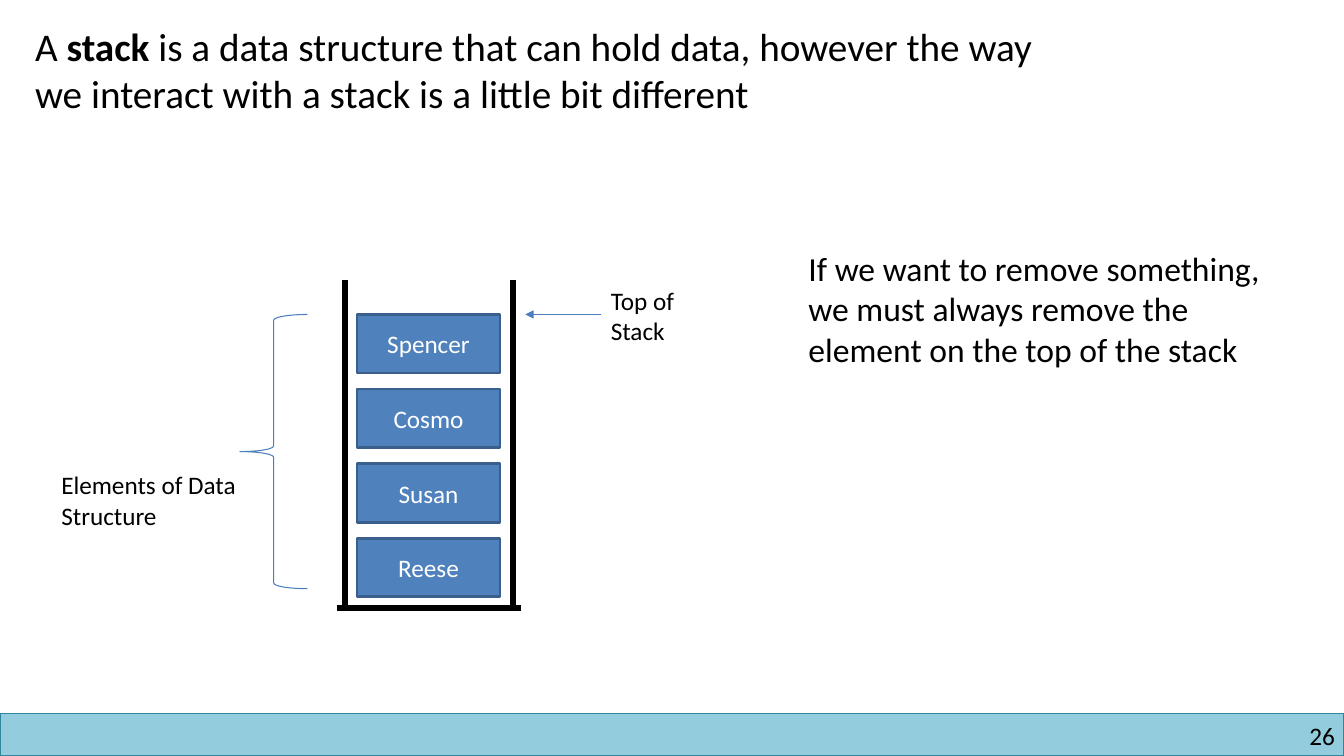
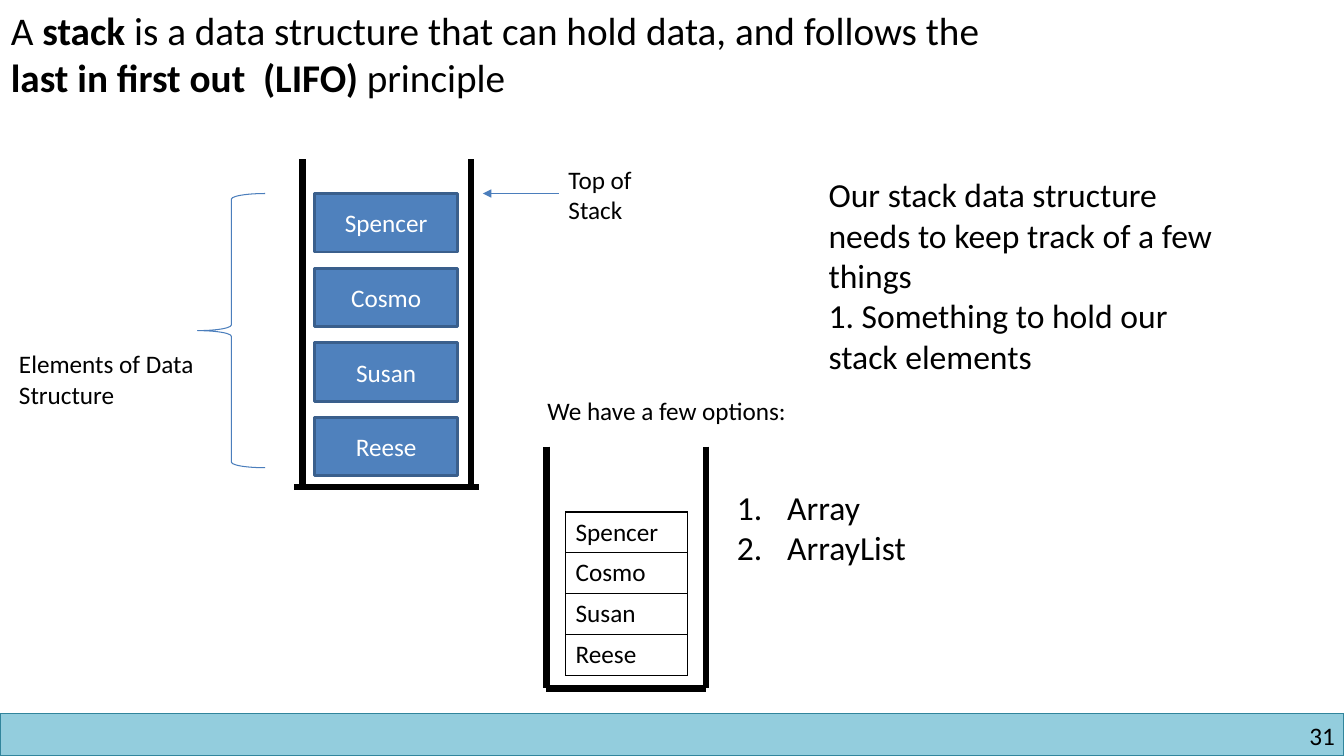
"""Builds two slides on the stack data structure."""
from lxml.etree import SubElement
from pptx import Presentation
from pptx.dml.color import RGBColor
from pptx.enum.shapes import MSO_CONNECTOR, MSO_SHAPE
from pptx.enum.text import MSO_ANCHOR, PP_ALIGN
from pptx.oxml.ns import qn
from pptx.util import Inches, Pt

COLORS = {
    "ink": "000000",
    "paper": "FFFFFF",
    "band": "93CDDD",
    "band edge": "31859C",
    "box": "4F81BD",
    "box edge": "3A5F8C",
    "accent": "4B7EBC",
}
FONT = "Calibri"
SLIDE_WIDTH, SLIDE_HEIGHT = 13.33, 7.5
BAND_TOP = 7.08
NAMES = ["Spencer", "Cosmo", "Susan", "Reese"]
OPTIONS = ["Array", "ArrayList"]
SLIDES = [
    {
        "number": "26",
        "title": [("A ", False), ("stack", True),
                  (" is a data structure that can hold data, however the way "
                   "we interact with a stack is a little bit different", False)],
        "title at": (0.25, 0.17, 10.33, 1.04),
        "stack at": (3.42, 2.78),
        "body": ["If we want to remove something, we must always remove the "
                 "element on the top of the stack"],
        "body at": (7.92, 2.41, 4.75, 1.72),
    },
    {
        "number": "31",
        "title": [("A ", False), ("stack", True),
                  (" is a data structure that can hold data, and follows the ", False),
                  ("last in first out  (LIFO) ", True), ("principle", False)],
        "title at": (0.01, 0.01, 10.33, 1.04),
        "stack at": (3, 1.58),
        "body": ["Our stack data structure needs to keep track of a few things",
                 "1. Something to hold our stack elements"],
        "body at": (8.12, 1.68, 4.17, 2.12),
    },
]


def color(name):
    return RGBColor.from_string(COLORS[name])


def inches(values):
    return [Inches(value) for value in values]


def style(paragraph, size, ink="ink"):
    paragraph.font.name = FONT
    paragraph.font.size = Pt(size)
    paragraph.font.color.rgb = color(ink)


def add_text(slide, at, paragraphs, size, wrap=True, numbered=False):
    box = slide.shapes.add_textbox(*inches(at))
    frame = box.text_frame
    frame.word_wrap = wrap
    for index, content in enumerate(paragraphs):
        paragraph = frame.add_paragraph() if index else frame.paragraphs[0]
        runs = [(content, None)] if isinstance(content, str) else content
        for text, bold in runs:
            run = paragraph.add_run()
            run.text = text
            run.font.bold = bold
        if numbered:
            properties = paragraph._p.get_or_add_pPr()
            properties.set("marL", str(Inches(0.5)))
            properties.set("indent", str(Inches(-0.5)))
            SubElement(properties, qn("a:buAutoNum"), type="arabicPeriod")
        style(paragraph, size)
    return box


def add_shape(slide, kind, at, fill, edge, width):
    shape = slide.shapes.add_shape(kind, *inches(at))
    shape.shadow.inherit = False
    if fill:
        shape.fill.solid()
        shape.fill.fore_color.rgb = color(fill)
    else:
        shape.fill.background()
    shape.line.color.rgb = color(edge)
    shape.line.width = Pt(width)
    return shape


def add_line(slide, start, end, ink="ink", width=4.5):
    line = slide.shapes.add_connector(MSO_CONNECTOR.STRAIGHT, *inches(start + end))
    line.line.color.rgb = color(ink)
    line.line.width = Pt(width)
    SubElement(line._element.spPr, qn("a:effectLst"))
    return line


def add_container(slide, left, top, right, bottom, overhang=0):
    for x in (left, right):
        add_line(slide, (x, top), (x, bottom))
    add_line(slide, (right + overhang, bottom), (left - overhang, bottom))


def add_stack(slide, left, top):
    add_container(slide, left, top, left + 1.67, top + 3.25, 0.08)
    first_box = top + 0.34
    for index, name in enumerate(NAMES):
        at = (left + 0.12, first_box + 0.74 * index, 1.42, 0.58)
        box = add_shape(slide, MSO_SHAPE.RECTANGLE, at, "box", "box edge", 2)
        box.text_frame.vertical_anchor = MSO_ANCHOR.MIDDLE
        paragraph = box.text_frame.paragraphs[0]
        paragraph.text = name
        paragraph.alignment = PP_ALIGN.CENTER
        style(paragraph, 18, "paper")
    add_shape(slide, MSO_SHAPE.LEFT_BRACE, (left - 1.04, first_box, 0.67, 2.72),
              None, "accent", 0.75)
    add_text(slide, (left - 2.91, top + 1.83, 1.96, 0.71),
             ["Elements of Data Structure"], 18)
    label = add_text(slide, (left + 2.54, top, 1, 0.68), ["Top of Stack"], 18)
    arrow = add_line(slide, (left + 2.54, first_box), (left + 1.79, first_box),
                     "accent", 0.75)
    arrow.begin_connect(label, 1)
    SubElement(arrow.line._get_or_add_ln(), qn("a:tailEnd"), type="triangle")


def add_band(slide, number):
    add_shape(slide, MSO_SHAPE.RECTANGLE,
              (0, BAND_TOP, SLIDE_WIDTH, SLIDE_HEIGHT - BAND_TOP),
              "band", "band edge", 1)
    frame = add_text(slide, (10.17, 7.15, 3.07, 0.3), [number], 18).text_frame
    frame.margin_left = frame.margin_right = 0
    frame.margin_top = frame.margin_bottom = 0
    frame.paragraphs[0].alignment = PP_ALIGN.RIGHT


def add_border(cell):
    properties = cell._tc.get_or_add_tcPr()
    for index, side in enumerate(("lnL", "lnR", "lnT", "lnB")):
        border = properties.makeelement(qn(f"a:{side}"), {"w": str(Pt(1))})
        fill = SubElement(border, qn("a:solidFill"))
        SubElement(fill, qn("a:srgbClr"), val=COLORS["ink"])
        properties.insert(index, border)


def add_name_table(slide):
    row_height = 0.405
    at = (5.61, 5.08, 1.21, row_height * len(NAMES))
    table = slide.shapes.add_table(len(NAMES), 1, *inches(at)).table
    table.first_row = table.horz_banding = False
    for index, name in enumerate(NAMES):
        table.rows[index].height = Inches(row_height)
        cell = table.cell(index, 0)
        cell.text = name
        cell.fill.solid()
        cell.fill.fore_color.rgb = color("paper")
        style(cell.text_frame.paragraphs[0], 18)
        add_border(cell)


def add_options(slide):
    add_text(slide, (5.33, 3.87, 2.82, 0.4), ["We have a few options:"], 18, wrap=False)
    add_container(slide, 5.42, 4.43, 7, 6.83)
    add_name_table(slide)
    add_text(slide, (7.21, 4.78, 2.04, 0.91), OPTIONS, 24, wrap=False, numbered=True)


def main():
    presentation = Presentation()
    presentation.slide_width = Inches(SLIDE_WIDTH)
    presentation.slide_height = Inches(SLIDE_HEIGHT)
    for content in SLIDES:
        slide = presentation.slides.add_slide(presentation.slide_layouts[6])
        add_band(slide, content["number"])
        add_text(slide, content["title at"], [content["title"]], 28)
        add_stack(slide, *content["stack at"])
        add_text(slide, content["body at"], content["body"], 24)
    add_options(slide)
    presentation.save("out.pptx")


if __name__ == "__main__":
    main()
